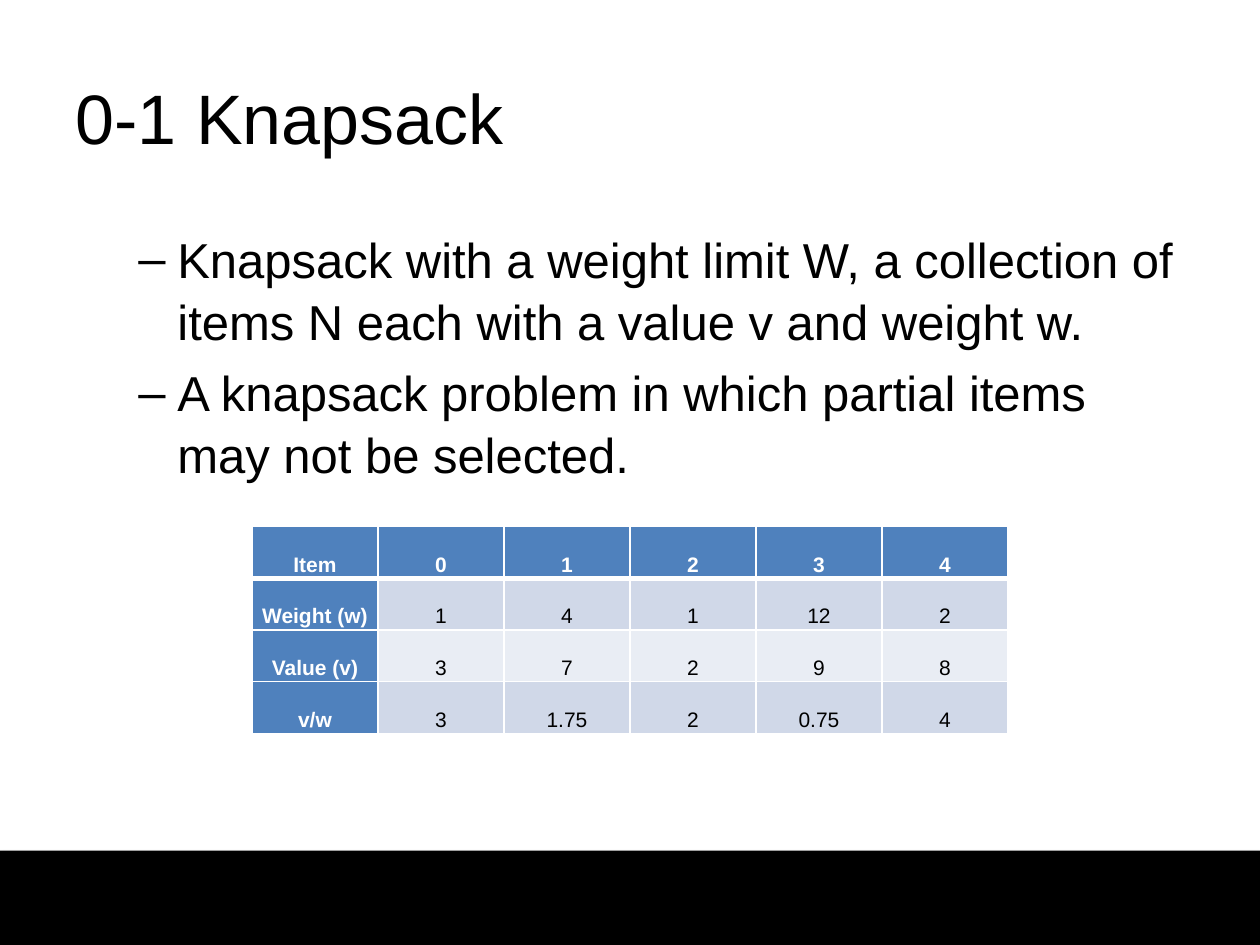
from lxml.etree import SubElement
from pptx import Presentation
from pptx.dml.color import RGBColor
from pptx.enum.shapes import MSO_SHAPE
from pptx.enum.text import MSO_ANCHOR, PP_ALIGN
from pptx.oxml.ns import qn
from pptx.util import Inches, Pt

BLACK, WHITE, BLUE = "000000", "FFFFFF", "4F81BD"
ROW_FILLS = ["D0D8E8", "E9EDF4"]
POINTS = [
    "Knapsack with a weight limit W, a collection of items N each with a value v and weight w.",
    "A knapsack problem in which partial items may not be selected.",
]
ITEMS = [
    ["Item", "0", "1", "2", "3", "4"],
    ["Weight (w)", "1", "4", "1", "12", "2"],
    ["Value (v)", "3", "7", "2", "9", "8"],
    ["v/w", "3", "1.75", "2", "0.75", "4"],
]


def color(value):
    return RGBColor.from_string(value)


def apply_format(target, values):
    for name, value in values.items():
        setattr(target, name, value)


def write(paragraph, text, size, hex_color, bold=False, **layout):
    run = paragraph.add_run()
    run.text = text
    apply_format(run.font, {"name": "Arial", "size": Pt(size), "bold": bold})
    run.font.color.rgb = color(hex_color)
    apply_format(paragraph, layout)


def add_element(parent, tag, **attributes):
    values = {name: str(value) for name, value in attributes.items()}
    return SubElement(parent, qn(tag), values)


def add_color(parent, value):
    return add_element(parent, "a:srgbClr", val=value)


def add_footer_band(slide, left, top, width, height):
    band = slide.shapes.add_shape(MSO_SHAPE.RECTANGLE, left, top, width, height)
    band.fill.solid()
    band.fill.fore_color.rgb = color(BLACK)
    band.line.fill.background()
    band.shadow.inherit = False
    effects = band.element.spPr.find(qn("a:effectLst"))
    shadow = add_element(effects, "a:outerShdw", blurRad=Pt(3.1), dist=Pt(1.8),
                         dir=90 * 60000, rotWithShape=0)
    add_element(add_color(shadow, BLACK), "a:alpha", val=35000)


def add_title(slide, left, top, width, height):
    title = slide.shapes.title
    apply_format(title, {"left": left, "top": top, "width": width, "height": height})
    title.text_frame.vertical_anchor = MSO_ANCHOR.MIDDLE
    write(title.text_frame.paragraphs[0], "0-1 Knapsack", 40, BLACK,
          alignment=PP_ALIGN.LEFT)


def add_points(slide, left, top, width, height):
    frame = slide.shapes.add_textbox(left, top, width, height).text_frame
    frame.word_wrap = True
    for index, text in enumerate(POINTS):
        paragraph = frame.add_paragraph() if index else frame.paragraphs[0]
        write(paragraph, text, 28, BLACK, level=1, space_before=Pt(5.6),
              line_spacing=1.05)
        properties = paragraph._p.get_or_add_pPr()
        properties.set("marL", str(Inches(0.81)))
        properties.set("indent", str(Inches(-0.31)))
        add_element(properties, "a:buFont", typeface="Arial")
        add_element(properties, "a:buChar", char="–")


def add_borders(cell, widths):
    properties = cell._tc.get_or_add_tcPr()
    for side, width in widths.items():
        line = add_element(properties, f"a:ln{side}", w=Pt(width))
        add_color(add_element(line, "a:solidFill"), WHITE)


def add_item_table(slide, left, top, width, height):
    table = slide.shapes.add_table(len(ITEMS), len(ITEMS[0]),
                                   left, top, width, height).table
    margins = {"margin_left": Inches(0.07), "margin_right": Inches(0.07),
               "margin_top": Inches(0.01), "margin_bottom": 0,
               "vertical_anchor": MSO_ANCHOR.MIDDLE}
    for row, values in enumerate(ITEMS):
        for column, text in enumerate(values):
            cell = table.cell(row, column)
            heading = row == 0 or column == 0
            apply_format(cell, margins)
            add_borders(cell, {"L": 1, "R": 1, "T": 3 if row == 1 else 1,
                               "B": 3 if row == 0 else 1})
            cell.fill.solid()
            cell.fill.fore_color.rgb = color(BLUE if heading else ROW_FILLS[(row - 1) % 2])
            write(cell.text_frame.paragraphs[0], text, 12,
                  WHITE if heading else BLACK, heading,
                  alignment=PP_ALIGN.CENTER, line_spacing=2.0, space_after=Pt(8))


def main():
    presentation = Presentation()
    apply_format(presentation, {"slide_width": Inches(10), "slide_height": Inches(7.5)})
    slide = presentation.slides.add_slide(presentation.slide_layouts[5])
    slide.background.fill.solid()
    slide.background.fill.fore_color.rgb = color(WHITE)
    add_footer_band(slide, Inches(0), Inches(6.75), Inches(10), Inches(0.75))
    add_title(slide, Inches(0.5), Inches(0.3), Inches(9), Inches(1.25))
    add_points(slide, Inches(0.5), Inches(1.75), Inches(9), Inches(4.83))
    add_item_table(slide, Inches(2), Inches(4.18), Inches(6), Inches(0.8))
    presentation.save("out.pptx")


if __name__ == "__main__":
    main()
